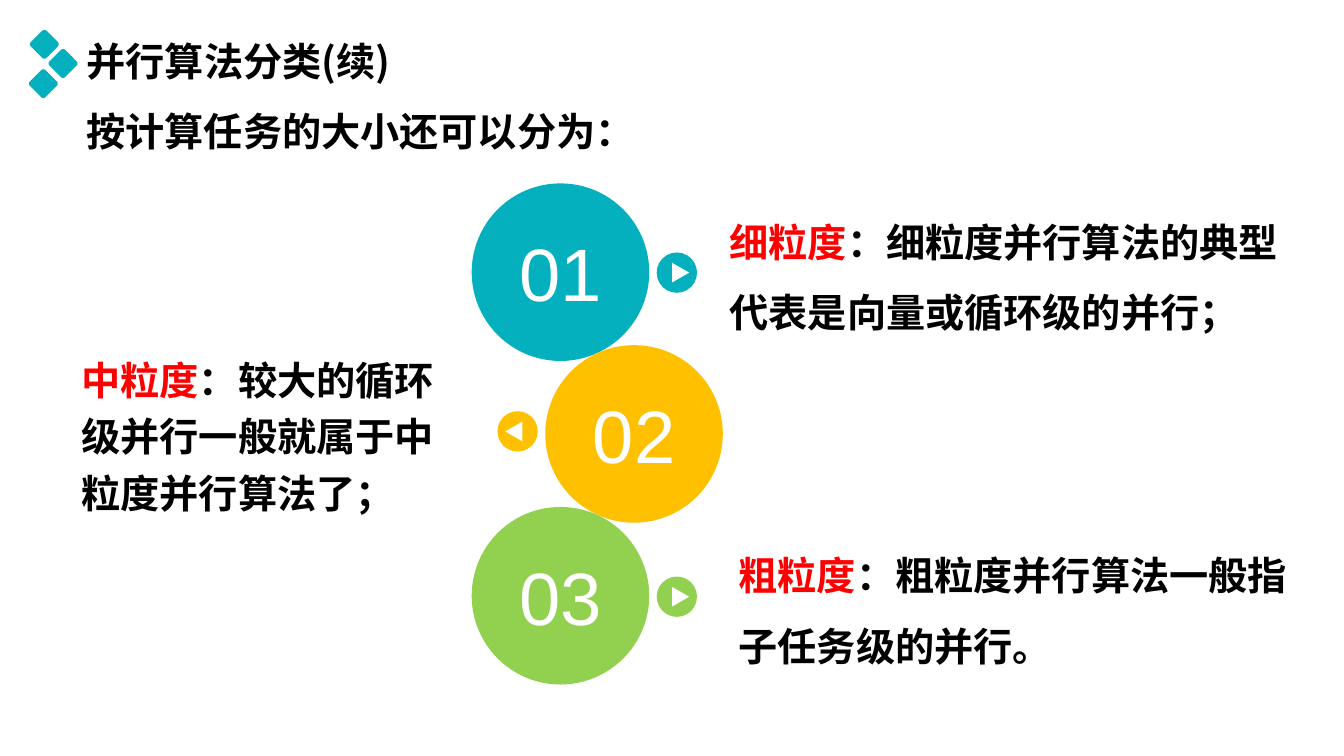
from lxml import etree
from pptx import Presentation
from pptx.dml.color import RGBColor
from pptx.enum.shapes import MSO_SHAPE
from pptx.enum.text import MSO_ANCHOR, MSO_AUTO_SIZE, PP_ALIGN
from pptx.oxml.ns import qn
from pptx.util import Inches, Pt

OVAL, TRIANGLE = MSO_SHAPE.OVAL, MSO_SHAPE.ISOSCELES_TRIANGLE
ROUNDED = MSO_SHAPE.ROUNDED_RECTANGLE
TOP, MIDDLE = MSO_ANCHOR.TOP, MSO_ANCHOR.MIDDLE
LEFT, CENTER = PP_ALIGN.LEFT, PP_ALIGN.CENTER
GROW = MSO_AUTO_SIZE.SHAPE_TO_FIT_TEXT

TEAL = RGBColor(0x04, 0xB0, 0xBE)
AMBER = RGBColor(0xFF, 0xC0, 0x00)
GREEN = RGBColor(0x92, 0xD0, 0x50)
RED = RGBColor(0xFF, 0x00, 0x00)
BLACK = RGBColor(0x00, 0x00, 0x00)
WHITE = RGBColor(0xFF, 0xFF, 0xFF)

COLUMNS, ROWS = 133.33, 75
CELL = Inches(0.1)
DISC, BADGE, DIAMOND = 17.2, 4, 2.2
BADGE_OFFSET = 11.55
DISC_TOP_ROW, DISC_STEP = 27, 16.05

# number, colour, disc column, badge row, badge side (1 right, -1 left)
STEPS = [
    ("01", TEAL, 55.6, 27.05, 1),
    ("02", AMBER, 62.9, 42.8, -1),
    ("03", GREEN, 55.6, 59.2, 1),
]
# box as column, row, width, height; line spacing; term; explanation
GRAINS = [
    ((71.4, 18.8, 59.1, 15.1), 1.5, "细粒度",
     "：细粒度并行算法的典型代表是向量或循环级的并行；"),
    ((7.1, 33.9, 40.1, 18), 1.2, "中粒度",
     "：较大的循环级并行一般就属于中粒度并行算法了；"),
    ((72.3, 51.9, 57.5, 15.1), 1.5, "粗粒度",
     "：粗粒度并行算法一般指子任务级的并行。"),
]


class SlideBuilder:
    """Draws on one slide; all lengths are counted in grid cells."""

    text_font, number_font = "Noto Sans CJK SC", "Arial"
    text_size, number_size = Pt(28), Pt(53)

    def __init__(self, deck):
        self.page = deck.slides.add_slide(deck.slide_layouts[5])

    def cells(self, *counts):
        return [round(count * CELL) for count in counts]

    def fill_text(self, box, parts, spacing=1.0):
        """Fill a box with one bold paragraph of (text, colour) parts."""
        frame = box.text_frame
        frame.word_wrap = True
        frame.auto_size = GROW
        frame.vertical_anchor = TOP
        para = frame.paragraphs[0]
        para.alignment = LEFT
        para.line_spacing = spacing
        font = para.font
        font.name, font.size, font.bold = self.text_font, self.text_size, True
        east_asian = etree.Element(qn("a:ea"), typeface=self.text_font)
        para._p.pPr.find(qn("a:defRPr")).find(qn("a:latin")).addnext(east_asian)
        for text, colour in parts:
            span = para.add_run()
            span.text = text
            span.font.color.rgb = colour

    def title(self, text, area):
        box = self.page.shapes.title
        box.left, box.top, box.width, box.height = self.cells(*area)
        self.fill_text(box, [(text, BLACK)])

    def text(self, area, parts, spacing=1.0):
        box = self.page.shapes.add_textbox(*self.cells(*area))
        self.fill_text(box, parts, spacing)

    def shape(self, kind, centre, size, colour, turn=0):
        """Add a plain filled shape around its centre, turned by degrees."""
        (column, row), (width, height) = centre, size
        area = self.cells(column - width / 2, row - height / 2, width, height)
        shape = self.page.shapes.add_shape(kind, *area)
        shape.shadow.inherit = False
        shape.fill.solid()
        shape.fill.fore_color.rgb = colour
        shape.line.fill.background()
        shape.rotation = turn
        return shape

    def diamond(self, centre):
        shape = self.shape(ROUNDED, centre, (DIAMOND, DIAMOND), TEAL, 45)
        shape.adjustments[0] = 0.13

    def disc(self, centre, number, colour):
        shape = self.shape(OVAL, centre, (DISC, DISC), colour)
        shape.line.color.rgb = colour
        shape.line.width = Pt(3)
        frame = shape.text_frame
        frame.word_wrap = False
        frame.vertical_anchor = MIDDLE
        para = frame.paragraphs[0]
        para.text = number
        para.alignment = CENTER
        font = para.font
        font.name, font.size = self.number_font, self.number_size
        font.color.rgb = WHITE

    def badge(self, centre, colour, side):
        """Add a small circle with a triangle pointing to the given side."""
        column, row = centre
        self.shape(OVAL, centre, (BADGE, BADGE), colour)
        self.shape(TRIANGLE, (column + side * 0.37, row), (1.95, 1.7), WHITE, side * 90)


def main():
    deck = Presentation()
    deck.slide_width = round(COLUMNS * CELL)
    deck.slide_height = ROWS * CELL
    slide = SlideBuilder(deck)

    slide.title("并行算法分类(续)", (7.6, 3.2, 65.3, 5.7))
    for centre in [(4.4, 4.4), (6.25, 6.3), (4.3, 8.3)]:
        slide.diamond(centre)
    slide.text((7.6, 10.2, 57, 5.7), [("按计算任务的大小还可以分为：", BLACK)])

    for index, (number, colour, column, badge_row, side) in enumerate(STEPS):
        slide.disc((column, DISC_TOP_ROW + index * DISC_STEP), number, colour)
        slide.badge((column + side * BADGE_OFFSET, badge_row), colour, side)

    for area, spacing, term, explanation in GRAINS:
        slide.text(area, [(term, RED), (explanation, BLACK)], spacing)

    deck.save("out.pptx")


if __name__ == "__main__":
    main()
